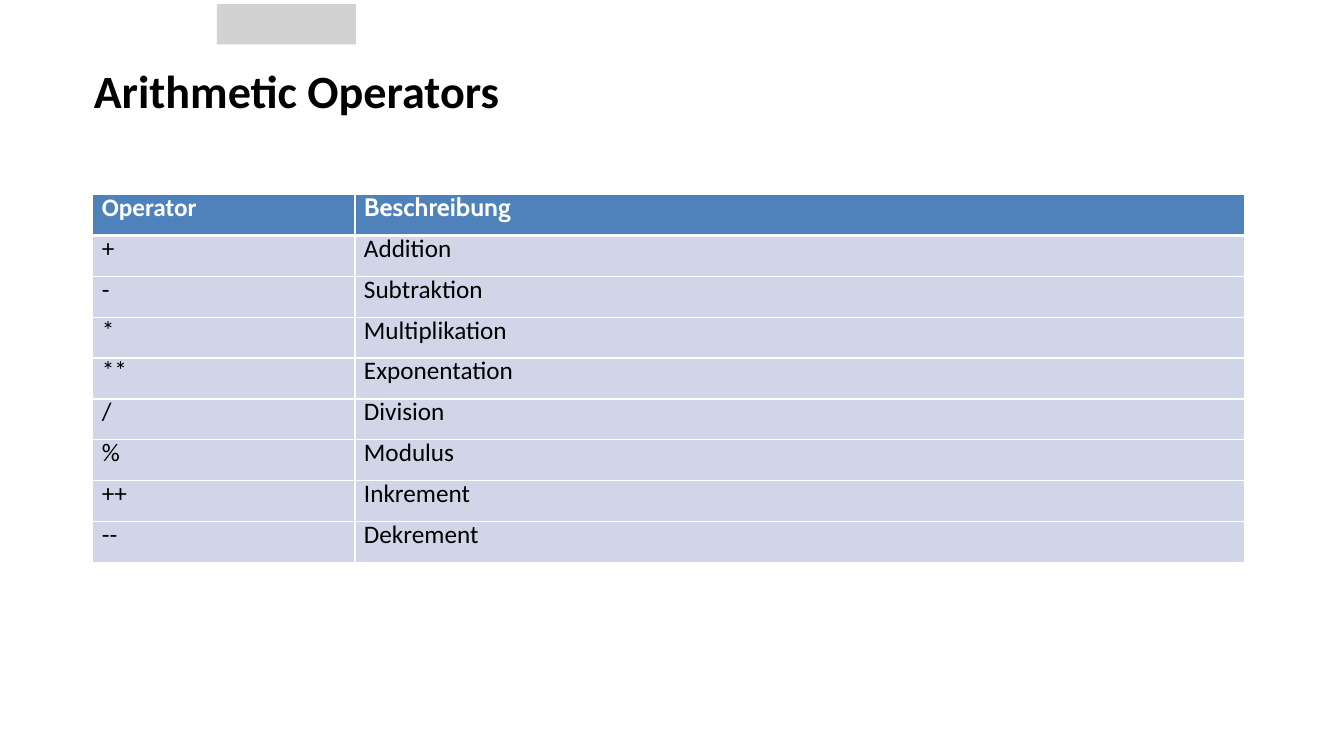
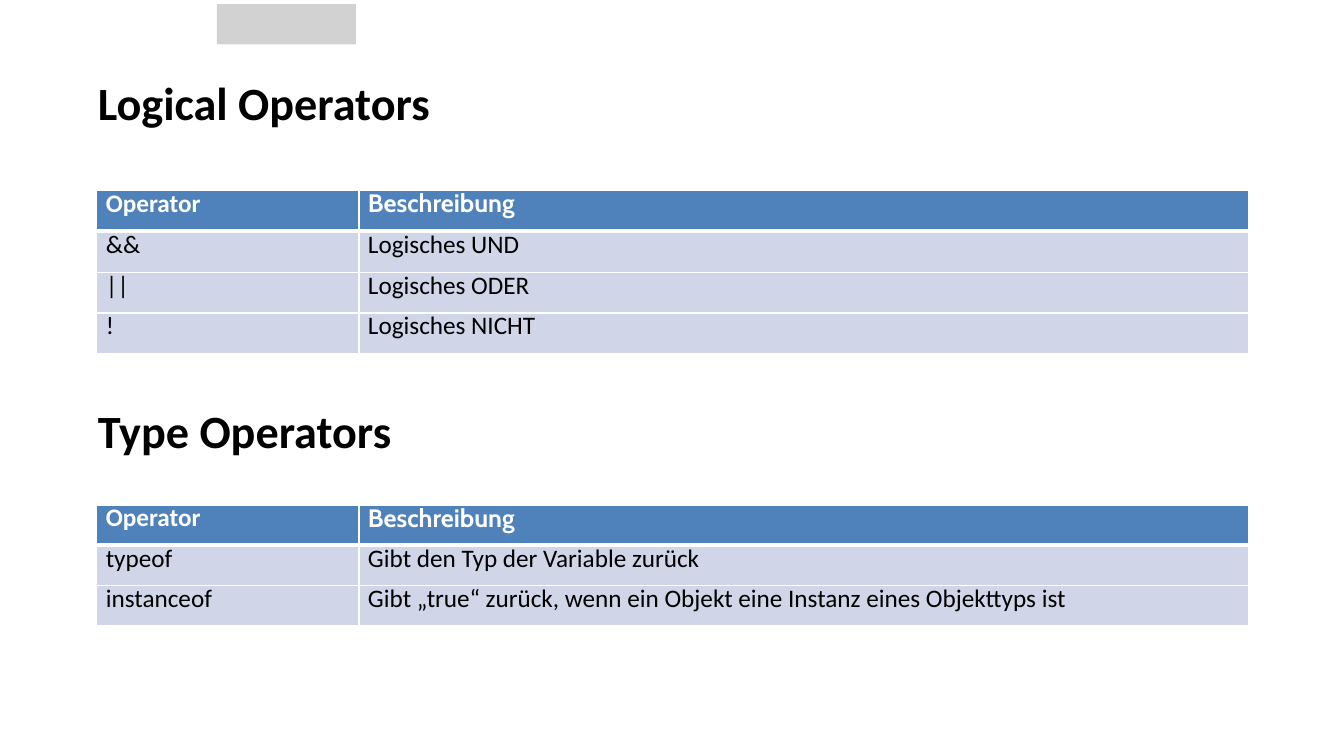
from lxml import etree
from pptx import Presentation
from pptx.dml.color import RGBColor
from pptx.enum.shapes import MSO_SHAPE
from pptx.enum.text import MSO_ANCHOR, MSO_AUTO_SIZE, PP_ALIGN
from pptx.oxml.ns import qn
from pptx.util import Inches, Pt

RECT = MSO_SHAPE.RECTANGLE
TOP = MSO_ANCHOR.TOP
MIDDLE = MSO_ANCHOR.MIDDLE
FIXED = MSO_AUTO_SIZE.NONE
LEFT = PP_ALIGN.LEFT

BLACK, WHITE = "000000", "FFFFFF"
GREY, BLUE, PALE = "D3D2D2", "4F81BB", "D0D6E8"

TITLE = {"name": "Calibri", "size": Pt(33), "bold": True}
HEAD = {"name": "Calibri", "size": Pt(18), "bold": True}
BODY = {**HEAD, "bold": False}
FRAME = {"margin_left": Inches(0.01), "margin_top": Inches(0.01),
         "margin_right": 0, "margin_bottom": 0,
         "word_wrap": True, "auto_size": FIXED}
CELL = {"margin_left": Inches(0.09), "margin_top": 0,
        "margin_right": 0, "margin_bottom": 0, "vertical_anchor": TOP}
COLS = (2.6, 8.82)
HEADER = ("Operator", "Beschreibung")

MATH = [("+", "Addition"), ("-", "Subtraktion"), ("*", "Multiplikation"),
        ("**", "Exponentation"), ("/", "Division"), ("%", "Modulus"),
        ("++", "Inkrement"), ("--", "Dekrement")]
LOGIC = [("&&", "Logisches UND"), ("||", "Logisches ODER"),
         ("!", "Logisches NICHT")]
TYPES = [("typeof", "Gibt den Typ der Variable zurück"),
         ("instanceof",
          "Gibt „true“ zurück, wenn ein Objekt eine Instanz eines Objekttyps ist")]


def rgb(code):
    return RGBColor.from_string(code)


def apply(item, values):
    for key, value in values.items():
        setattr(item, key, value)


class Deck:
    def __init__(self):
        self.prs = Presentation()
        self.prs.slide_width = Inches(13.33)
        self.prs.slide_height = Inches(7.5)

    def page(self):
        self.slide = self.prs.slides.add_slide(self.prs.slide_layouts[5])
        self.band()

    def band(self):
        band = self.slide.shapes.add_shape(
            RECT, Inches(2.15), Inches(0.04), Inches(1.38), Inches(0.4))
        band.shadow.inherit = False
        band.fill.solid()
        band.fill.fore_color.rgb = rgb(GREY)
        band.line.fill.background()

    def text(self, para, words, style, color):
        run = para.add_run()
        run.text = words
        apply(run.font, style)
        run.font.color.rgb = rgb(color)

    def label(self, shape, words, left, top, anchor):
        apply(shape, {"left": Inches(left), "top": Inches(top),
                      "width": Inches(5.25), "height": Inches(0.57)})
        frame = shape.text_frame
        apply(frame, {**FRAME, "vertical_anchor": anchor})
        para = frame.paragraphs[0]
        apply(para, {"alignment": LEFT, "space_before": Pt(1)})
        self.text(para, words, TITLE, BLACK)

    def title(self, words, left, top):
        self.label(self.slide.shapes.title, words, left, top, MIDDLE)

    def heading(self, words, left, top):
        box = self.slide.shapes.add_textbox(0, 0, 0, 0)
        self.label(box, words, left, top, TOP)

    def border(self, cell, row):
        props = cell._tc.get_or_add_tcPr()
        widths = {"L": 1, "R": 1, "T": 3 if row == 1 else 1,
                  "B": 3 if row == 0 else 1}
        for side, width in widths.items():
            line = etree.SubElement(props, qn(f"a:ln{side}"), w=str(Pt(width)))
            fill = etree.SubElement(line, qn("a:solidFill"))
            etree.SubElement(fill, qn("a:srgbClr"), val=WHITE)

    def cell(self, cell, words, row, col):
        apply(cell, CELL)
        self.border(cell, row)
        cell.fill.solid()
        cell.fill.fore_color.rgb = rgb(PALE if row else BLUE)
        style = BODY if row else HEAD
        if row == 0 and col == 1:
            style = {**HEAD, "name": "Cabin"}
        para = cell.text_frame.paragraphs[0]
        para.line_spacing = Pt(20.5)
        self.text(para, words, style, BLACK if row else WHITE)

    def table(self, data, left, top, height):
        rows = [HEADER, *data]
        table = self.slide.shapes.add_table(
            len(rows), len(COLS), Inches(left), Inches(top),
            Inches(sum(COLS)), Inches(height)).table
        for col, width in enumerate(COLS):
            table.columns[col].width = Inches(width)
        for row, texts in enumerate(rows):
            for col, words in enumerate(texts):
                self.cell(table.cell(row, col), words, row, col)


def main():
    deck = Deck()
    deck.page()
    deck.title("Arithmetic Operators", 0.92, 0.6)
    deck.table(MATH, 0.92, 1.93, 3.65)

    deck.page()
    deck.title("Logical Operators", 0.96, 0.72)
    deck.table(LOGIC, 0.96, 1.89, 1.62)
    deck.heading("Type Operators", 0.96, 3.98)
    deck.table(TYPES, 0.96, 5.01, 1.2)
    deck.prs.save("out.pptx")


if __name__ == "__main__":
    main()
